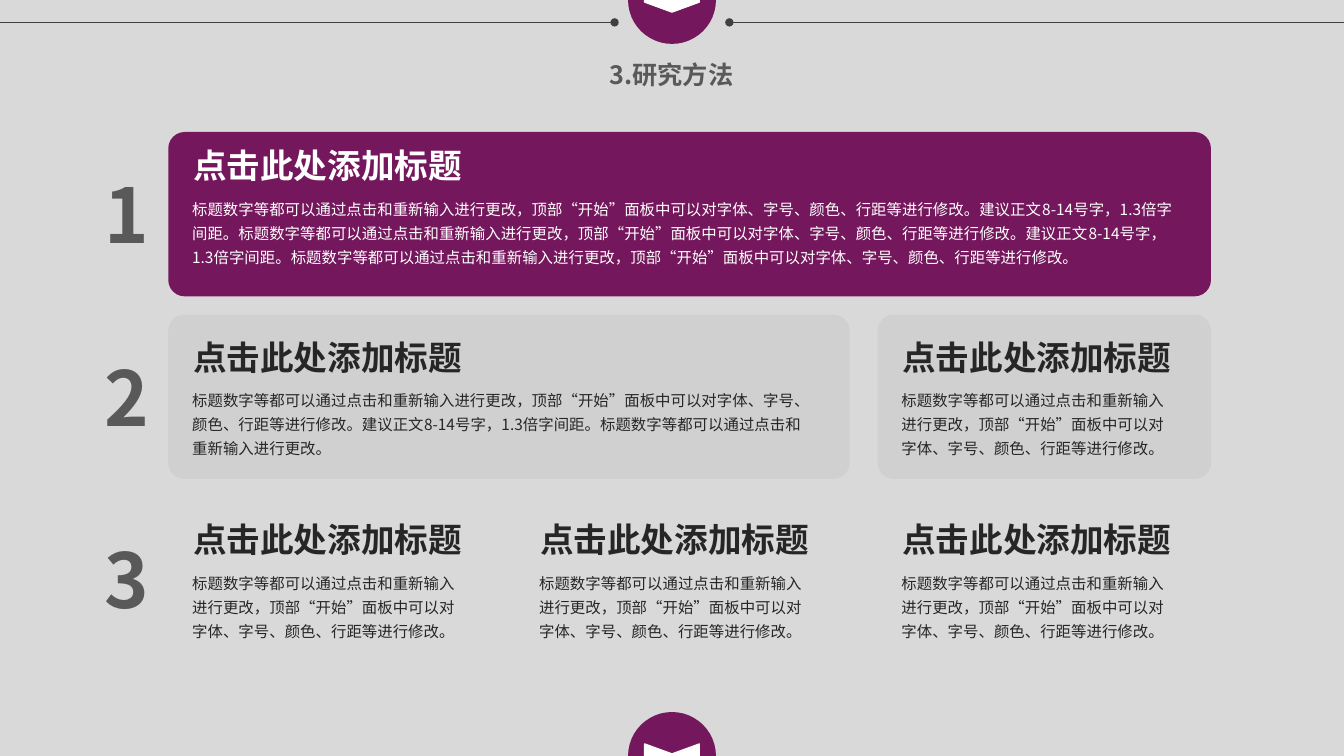
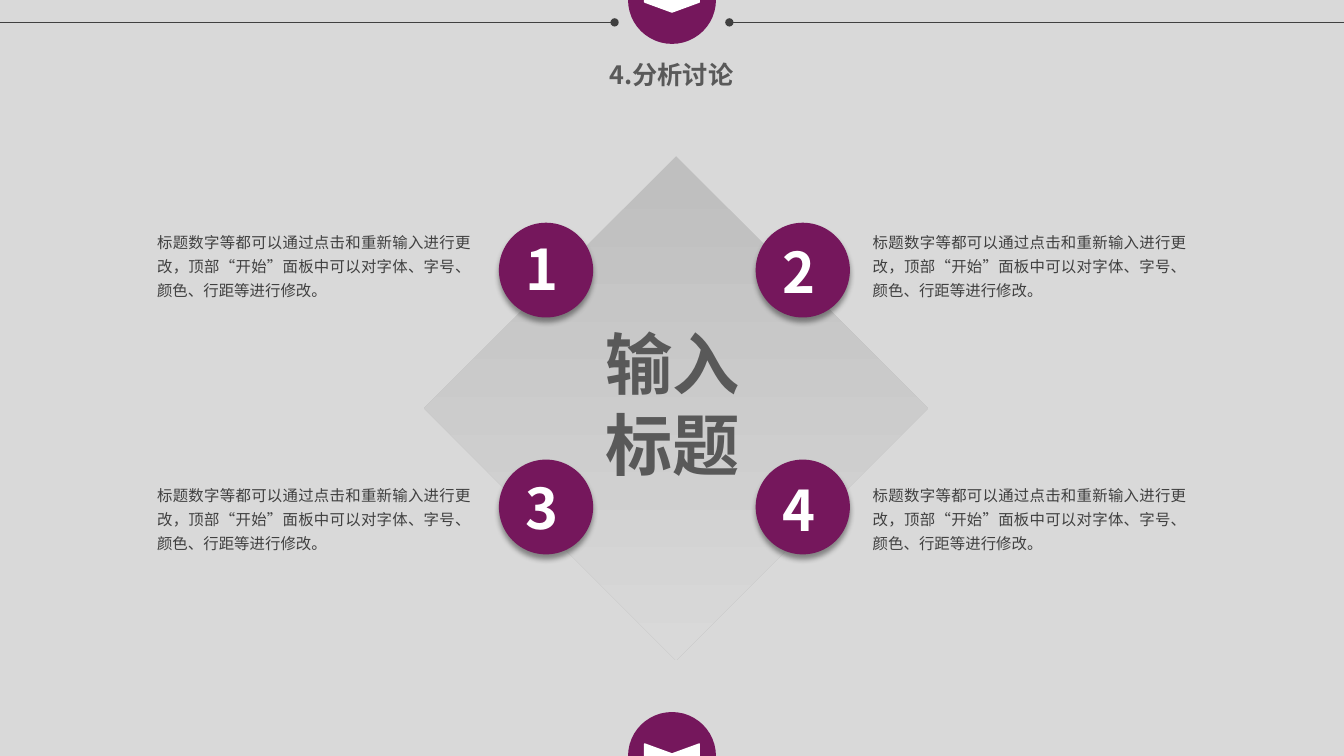
import pptx
import pptx.dml.color
import pptx.enum.dml
import pptx.enum.shapes
import pptx.enum.text
import pptx.oxml.ns
import pptx.util
from lxml import etree

Pt = pptx.util.Pt
SHAPE = pptx.enum.shapes.MSO_SHAPE
ALIGN = pptx.enum.text.PP_ALIGN

SLIDE_W, SLIDE_H = 960, 540
FONT = "Noto Sans CJK SC"
PLUM, WHITE, PAPER = "75175C", "FFFFFF", "D9D9D9"
CARD_GRAY, DIAMOND_GRAY = "D0D0D0", "BFBFBF"
HEADING_GRAY, BODY_GRAY, INK = "595959", "404040", "262626"

COLUMN_X = (120.2, 368, 626.8)
COLUMN_W = 238.3
ROW_Y = (94.3, 224.7, 355.1)
CARD_H = 117.4

HEADING = "点击此处添加标题"
EDIT_HINT = "标题数字等都可以通过点击和重新输入进行更改"
FORMAT_HINT = "，顶部“开始”面板中可以对字体、字号、颜色、行距等进行修改。"
SIZE_HINT = "建议正文8-14号字，1.3倍字间距。"
SHORT_BODY = EDIT_HINT + FORMAT_HINT
MEDIUM_BODY = SHORT_BODY + SIZE_HINT + EDIT_HINT + "。"
LONG_BODY = (SHORT_BODY + SIZE_HINT) * 2 + SHORT_BODY


def rgb(hex_color):
    """Return the colour for a hex string."""
    return pptx.dml.color.RGBColor.from_string(hex_color)


def add_child(parent, tag, **attributes):
    """Append a DrawingML element with the given attributes."""
    return etree.SubElement(parent, pptx.oxml.ns.qn(tag), attributes)


def write_text(frame, lines, size, color, bold=False, align=ALIGN.LEFT, spacing=None):
    """Fill a text frame with one formatted run per line."""
    frame.word_wrap = True
    frame.auto_size = pptx.enum.text.MSO_AUTO_SIZE.NONE
    frame.vertical_anchor = pptx.enum.text.MSO_ANCHOR.TOP
    for index, line in enumerate(lines):
        paragraph = frame.add_paragraph() if index else frame.paragraphs[0]
        paragraph.alignment = align
        paragraph.line_spacing = spacing
        run = paragraph.add_run()
        run.text = line
        run.font.size = Pt(size)
        run.font.bold = bold
        run.font.color.rgb = rgb(color)
        run.font.name = FONT
        add_child(run.font._element, "a:ea", typeface=FONT)


def add_text(slide, x, y, w, h, lines, size, color, **style):
    """Add a text box."""
    box = slide.shapes.add_textbox(Pt(x), Pt(y), Pt(w), Pt(h))
    write_text(box.text_frame, lines, size, color, **style)


def add_body(slide, x, y, w, text, color, align=ALIGN.LEFT):
    """Add a paragraph of body text."""
    add_text(slide, x, y, w, 60, [text], 11, color, align=align, spacing=1.3)


def add_solid(slide, preset, x, y, w, h, color):
    """Add a borderless filled shape without a shadow."""
    solid = slide.shapes.add_shape(preset, Pt(x), Pt(y), Pt(w), Pt(h))
    solid.shadow.inherit = False
    solid.fill.solid()
    solid.fill.fore_color.rgb = rgb(color)
    solid.line.fill.background()
    return solid


def add_rule(slide, x_from, x_to):
    """Add a header rule that ends in a dot."""
    rule = slide.shapes.add_connector(
        pptx.enum.shapes.MSO_CONNECTOR.STRAIGHT, Pt(x_from), Pt(16), Pt(x_to), Pt(16))
    rule.line.width = Pt(1.25)
    rule.line.color.rgb = rgb(BODY_GRAY)
    add_child(rule.line._get_or_add_ln(), "a:tailEnd", type="oval")
    add_child(rule._element.spPr, "a:effectLst")


def add_badge(slide, center_y):
    """Add the round chevron badge centred on a slide edge."""
    center_x, diameter, chevron_w, chevron_h = SLIDE_W / 2, 62.8, 17.2, 39
    add_solid(slide, SHAPE.OVAL, center_x - diameter / 2, center_y - diameter / 2,
              diameter, diameter, PLUM)
    chevron = add_solid(slide, SHAPE.CHEVRON, center_x - chevron_w / 2,
                        center_y - chevron_h / 2, chevron_w, chevron_h, WHITE)
    chevron.rotation = 90
    chevron.adjustments[0] = 0.415
    chevron.line.color.rgb = rgb(WHITE)
    chevron.line.width = Pt(1)


def add_framed_slide(deck, title_text):
    """Add a slide with the shared title, rules and badges."""
    slide = deck.slides.add_slide(deck.slide_layouts[5])
    title = slide.shapes.title
    title.left, title.top, title.width, title.height = Pt(396), Pt(39), Pt(167), Pt(29)
    write_text(title.text_frame, [title_text], 18, HEADING_GRAY, bold=True, align=ALIGN.CENTER)
    add_rule(slide, 0, 439)
    add_rule(slide, SLIDE_W, 521)
    for edge_y in (SLIDE_H, 0):
        add_badge(slide, edge_y)
    return slide


def add_card(slide, column, row, body, body_w, ink=INK, fill=None, card_w=COLUMN_W, inset=12.2):
    """Add a heading and body, on a rounded card if a fill is given."""
    x, y = COLUMN_X[column], ROW_Y[row]
    if fill:
        card = add_solid(slide, SHAPE.ROUNDED_RECTANGLE, x, y, card_w, CARD_H, fill)
        card.adjustments[0] = 0.1
    add_text(slide, x + 10.7, y + inset, 227.5, 36, [HEADING], 24, ink, bold=True)
    add_body(slide, x + 10, y + inset + 35.3, body_w, body, ink)


def add_numbered_circle(slide, number, x, y, number_y):
    """Add a circle with a soft shadow and a number."""
    circle = add_solid(slide, SHAPE.OVAL, x, y, 67.3, 67.7, PLUM)
    effects = circle._element.spPr.find(pptx.oxml.ns.qn("a:effectLst"))
    shadow = add_child(effects, "a:outerShdw", blurRad=str(Pt(4)), dist=str(Pt(3)),
                       dir="5400000", algn="t", rotWithShape="0")
    add_child(add_child(shadow, "a:srgbClr", val="000000"), "a:alpha", val="40000")
    add_text(slide, x + 12.2, number_y, 39.6, 55.4, [number], 40, WHITE, bold=True)


def add_diamond(slide):
    """Add the gradient diamond with the central heading."""
    diamond = add_solid(slide, SHAPE.DIAMOND, 303, 111.6, 360, 360, PAPER)
    diamond.fill.gradient()
    diamond.fill.gradient_angle = 270
    stops = ((0.03, DIAMOND_GRAY), (1, PAPER))
    for stop, (position, color) in zip(diamond.fill.gradient_stops, stops):
        stop.position = position
        stop.color.rgb = rgb(color)


def build_methods(deck):
    """Build the slide of research methods."""
    slide = add_framed_slide(deck, "3.研究方法")
    for number, row_y in enumerate(ROW_Y, 1):
        add_text(slide, 67.7, row_y + 22.3, 39.6, 72.7, [str(number)], 54,
                 HEADING_GRAY, bold=True)
    add_card(slide, 0, 0, LONG_BODY, 720, WHITE, PLUM, card_w=744.8, inset=5.8)
    add_card(slide, 0, 1, MEDIUM_BODY, 450, fill=CARD_GRAY, card_w=486.7)
    add_card(slide, 2, 1, SHORT_BODY, 205.2, fill=CARD_GRAY)
    for column in range(len(COLUMN_X)):
        add_card(slide, column, 2, SHORT_BODY, 205.2)


def build_discussion(deck):
    """Build the slide of analysis and discussion."""
    slide = add_framed_slide(deck, "4.分析讨论")
    add_diamond(slide)
    columns = ((356.4, 105.1), (539.8, 616.3))
    rows = ((159.1, 159.1, (164.2, 166.3)), (328.3, 339.8, (334.8, 336.2)))
    for row, (circle_y, body_y, numbers_y) in enumerate(rows):
        for column, (circle_x, body_x) in enumerate(columns):
            number = str(row * len(columns) + column + 1)
            add_numbered_circle(slide, number, circle_x, circle_y, numbers_y[column])
            add_body(slide, body_x, body_y, COLUMN_W, SHORT_BODY, BODY_GRAY, ALIGN.JUSTIFY)
    add_text(slide, 425.5, 226.8, 112, 124, ["输入", "标题"], 48, HEADING_GRAY, bold=True)


def main():
    """Build and save the deck."""
    deck = pptx.Presentation()
    deck.slide_width, deck.slide_height = Pt(SLIDE_W), Pt(SLIDE_H)
    background = deck.slide_master.background.fill
    background.solid()
    background.fore_color.rgb = rgb(PAPER)
    build_methods(deck)
    build_discussion(deck)
    deck.save("out.pptx")


if __name__ == "__main__":
    main()
